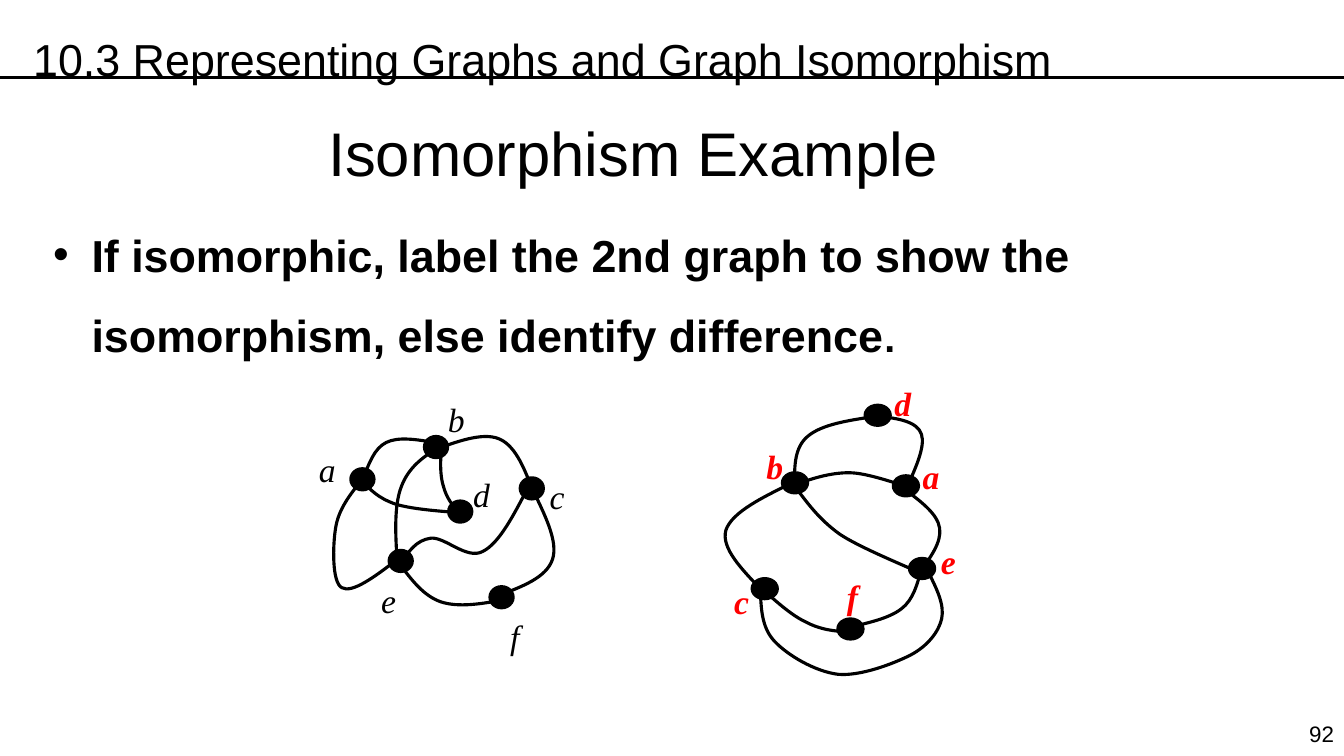
from pptx import Presentation
from pptx.dml.color import RGBColor
from pptx.enum.shapes import MSO_CONNECTOR, MSO_SHAPE
from pptx.enum.text import MSO_ANCHOR, MSO_AUTO_SIZE, PP_ALIGN
from pptx.oxml.ns import qn
from pptx.util import Inches, Pt
from lxml import etree

BLACK = RGBColor(0x00, 0x00, 0x00)
RED = RGBColor(0xFF, 0x00, 0x00)
LEFT, CENTER, RIGHT = PP_ALIGN.LEFT, PP_ALIGN.CENTER, PP_ALIGN.RIGHT
TOP, MIDDLE = MSO_ANCHOR.TOP, MSO_ANCHOR.MIDDLE
OVAL, STRAIGHT = MSO_SHAPE.OVAL, MSO_CONNECTOR.STRAIGHT
GROW = MSO_AUTO_SIZE.SHAPE_TO_FIT_TEXT
LINE_WIDTH = Pt(2.25)

prs = Presentation()
prs.slide_width, prs.slide_height = Inches(13.33), Inches(7.5)
s = prs.slides.add_slide(prs.slide_layouts[6])


def add_text(text, x, y, w, h, size, font="Arial", color=BLACK, bold=False, italic=False,
             align=LEFT, anchor=TOP, wrap=True, spacing=None, bullet=None):
    box = s.shapes.add_textbox(Inches(x), Inches(y), Inches(w), Inches(h))
    tf = box.text_frame
    tf.word_wrap, tf.vertical_anchor, tf.auto_size = wrap, anchor, GROW
    p = tf.paragraphs[0]
    p.alignment = align
    if spacing:
        p.line_spacing = spacing
    if bullet:
        pPr = p._p.get_or_add_pPr()
        pPr.set("marL", str(Inches(0.38)))
        pPr.set("indent", str(Inches(-0.38)))
        etree.SubElement(pPr, qn("a:buFont")).set("typeface", font)
        etree.SubElement(pPr, qn("a:buChar")).set("char", bullet)
    r = p.add_run()
    r.text = text
    r.font.name, r.font.size, r.font.color.rgb = font, Pt(size), color
    r.font.bold, r.font.italic = bold, italic
    return p


def add_curve(shapes, points):
    """Draw Bézier segments: a start point, then three points per segment."""
    start, *rest = [(Inches(x), Inches(y)) for x, y in points]
    builder = shapes.build_freeform(*start)
    builder.add_line_segments(rest, close=False)
    sp = builder.convert_to_shape()
    sp.shadow.inherit = False
    sp.fill.background()
    sp.line.color.rgb, sp.line.width = BLACK, LINE_WIDTH
    steps = list(sp._element.iter(qn("a:lnTo")))
    for i in range(0, len(steps), 3):
        bezier = etree.Element(qn("a:cubicBezTo"))
        steps[i].addprevious(bezier)
        for step in steps[i:i + 3]:
            bezier.append(step[0])
            step.getparent().remove(step)


# Header rule and page number
rule = s.shapes.add_connector(STRAIGHT, Inches(-0.01), Inches(0.77), Inches(13.33), Inches(0.77))
rule.line.color.rgb, rule.line.width = BLACK, LINE_WIDTH
etree.SubElement(rule._element.spPr, qn("a:effectLst"))
add_text("92", 12.7, 7.1, 0.63, 0.37, 16, align=RIGHT)

# Headings and task
add_text("10.3 Representing Graphs and Graph Isomorphism", 0.23, 0, 12.09, 0.81, 32, spacing=1.5)
task = add_text("If isomorphic, label the 2nd graph to show the isomorphism, else identify difference",
                0.43, 1.94, 13.03, 1.62, 32, bold=True, spacing=1.5, bullet="•")
r = task.add_run()
r.text = "."
r.font.name, r.font.size, r.font.bold, r.font.color.rgb = "Arial", Pt(28), True, BLACK
add_text("Isomorphism Example", 1.78, 1.09, 9, 1.25, 44, align=CENTER)

# Graphs: vertices (left, top), edges (curve points), labels (left, top, width)
first = {
    "shapes": s.shapes, "size": (0.23, 0.21), "color": BLACK, "bold": False,
    "vertices": [(3.48, 4.65), (4.21, 4.33), (4.45, 4.97), (5.16, 4.74), (3.86, 5.46), (4.86, 5.82)],
    "edges": [
        [(3.6, 4.77), (3.67, 4.86), (3.75, 4.94), (3.92, 5), (4.08, 5.05), (4.34, 5.07), (4.61, 5.09)],
        [(3.6, 4.75), (3.66, 4.6), (3.71, 4.45), (3.83, 4.39), (3.95, 4.33), (4.13, 4.36), (4.31, 4.39)],
        [(4.56, 5.09), (4.49, 5.02), (4.43, 4.94), (4.4, 4.83), (4.36, 4.71), (4.37, 4.56), (4.38, 4.41)],
        [(4.33, 4.45), (4.19, 4.54), (4.05, 4.64), (3.98, 4.83), (3.91, 5.01), (3.92, 5.29), (3.94, 5.57)],
        [(4.29, 4.47), (4.53, 4.38), (4.78, 4.29), (4.94, 4.35), (5.1, 4.41), (5.19, 4.62), (5.27, 4.83)],
        [(3.98, 5.59), (4.05, 5.47), (4.13, 5.36), (4.27, 5.34), (4.41, 5.32), (4.63, 5.56), (4.79, 5.47),
         (4.95, 5.39), (5.09, 5.12), (5.23, 4.85)],
        [(3.58, 4.77), (3.47, 4.91), (3.36, 5.05), (3.33, 5.23), (3.3, 5.4), (3.29, 5.78), (3.39, 5.83),
         (3.49, 5.89), (3.72, 5.72), (3.94, 5.55)],
        [(3.96, 5.59), (4.08, 5.75), (4.2, 5.91), (4.37, 5.97), (4.55, 6.03), (4.78, 5.99), (5, 5.95)],
        [(4.94, 5.91), (5.18, 5.82), (5.42, 5.73), (5.48, 5.55), (5.54, 5.37), (5.4, 5.1), (5.27, 4.83)],
    ],
    "labels": {"a": (3.06, 4.4, 0.37), "b": (4.34, 3.91, 0.37), "c": (5.35, 4.67, 0.35),
               "d": (4.59, 4.65, 0.37), "e": (3.68, 5.7, 0.35), "f": (4.96, 6.06, 0.29)},
}
second = {
    "shapes": s.shapes.add_group_shape().shapes, "size": (0.25, 0.2), "color": RED, "bold": True,
    "vertices": [(8.58, 4.02), (7.76, 4.69), (8.86, 4.72), (9.02, 5.54), (7.46, 5.74), (8.31, 6.14)],
    "edges": [
        [(7.88, 4.8), (7.88, 4.62), (7.88, 4.44), (8.01, 4.33), (8.15, 4.21), (8.42, 4.17), (8.69, 4.13)],
        [(8.71, 4.13), (8.9, 4.15), (9.1, 4.18), (9.14, 4.31), (9.18, 4.43), (9.08, 4.65), (8.98, 4.87)],
        [(7.86, 4.82), (8.04, 4.75), (8.23, 4.69), (8.42, 4.69), (8.6, 4.69), (8.89, 4.8), (8.98, 4.82)],
        [(7.88, 4.82), (8, 4.98), (8.12, 5.15), (8.33, 5.3), (8.54, 5.44), (9.02, 5.63), (9.16, 5.7)],
        [(8.98, 4.86), (9.14, 4.98), (9.3, 5.1), (9.32, 5.24), (9.34, 5.38), (9.23, 5.53), (9.12, 5.68)],
        [(7.88, 4.78), (7.57, 4.93), (7.26, 5.08), (7.2, 5.26), (7.15, 5.44), (7.36, 5.65), (7.56, 5.86)],
        [(7.52, 5.81), (7.68, 5.95), (7.84, 6.1), (7.99, 6.17), (8.14, 6.25), (8.27, 6.26), (8.4, 6.27)],
        [(8.4, 6.23), (8.6, 6.18), (8.81, 6.14), (8.94, 6.04), (9.06, 5.95), (9.1, 5.79), (9.14, 5.64)],
        [(7.54, 5.84), (7.55, 6.03), (7.55, 6.22), (7.68, 6.36), (7.81, 6.5), (8.08, 6.66), (8.31, 6.69),
         (8.53, 6.71), (8.85, 6.59), (9.03, 6.5), (9.2, 6.41), (9.31, 6.27), (9.34, 6.14),
         (9.37, 6), (9.29, 5.84), (9.21, 5.68)],
    ],
    "labels": {"b": (7.5, 4.37, 0.37), "d": (8.77, 3.75, 0.37), "a": (9.05, 4.47, 0.37),
               "e": (9.23, 5.32, 0.35), "f": (8.3, 5.66, 0.31), "c": (7.18, 5.71, 0.35)},
}

for graph in (first, second):
    w, h = graph["size"]
    for x, y in graph["vertices"]:
        vertex = graph["shapes"].add_shape(OVAL, Inches(x), Inches(y), Inches(w), Inches(h))
        vertex.shadow.inherit = False
        vertex.fill.solid()
        vertex.fill.fore_color.rgb = BLACK
        vertex.line.color.rgb, vertex.line.width = BLACK, LINE_WIDTH
    for points in graph["edges"]:
        add_curve(graph["shapes"], points)
    for letter, (x, y, width) in graph["labels"].items():
        add_text(letter, x, y, width, 0.5, 24, font="Times New Roman", color=graph["color"],
                 bold=graph["bold"], italic=True, align=CENTER, anchor=MIDDLE, wrap=False)

prs.save("out.pptx")
